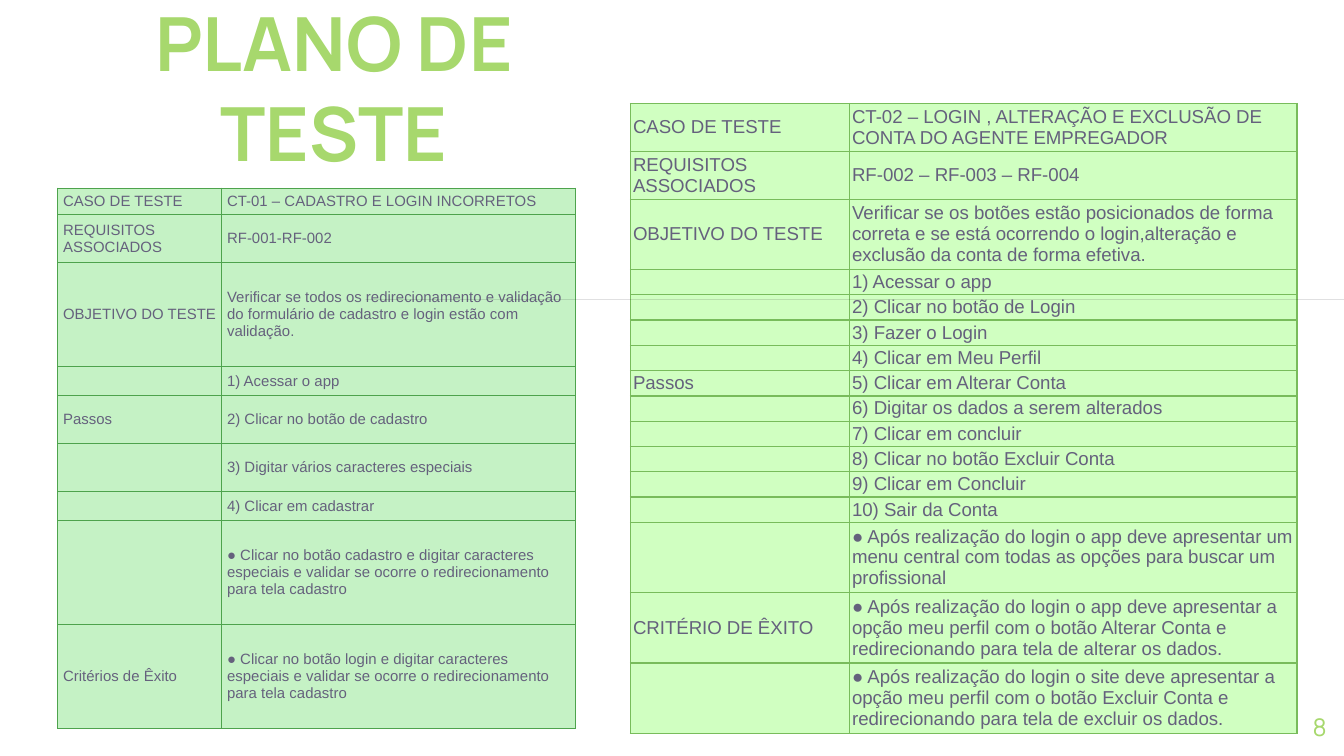
from pptx import Presentation
from pptx.dml.color import RGBColor
from pptx.enum.shapes import MSO_SHAPE
from pptx.enum.text import MSO_ANCHOR, PP_ALIGN
from pptx.oxml.ns import qn
from pptx.util import Inches, Pt
from lxml import etree

RECT = MSO_SHAPE.RECTANGLE
MIDDLE, BOTTOM = MSO_ANCHOR.MIDDLE, MSO_ANCHOR.BOTTOM
CENTER, RIGHT = PP_ALIGN.CENTER, PP_ALIGN.RIGHT
LIME = RGBColor(0xA7, 0xD8, 0x6D)
GRAY = RGBColor(0x65, 0x61, 0x7D)
INK = RGBColor(0x0A, 0x0C, 0x10)
MINT = RGBColor(0xC5, 0xF2, 0xC5)
PALE = RGBColor(0xD0, 0xFF, 0xC1)
GREEN = RGBColor(0x4E, 0xA3, 0x4D)
LEAF = RGBColor(0x78, 0xBC, 0x5B)

# Each row: label, text, share of the table height
SIGNUP = [
    ("CASO DE TESTE", "CT-01 – CADASTRO E LOGIN INCORRETOS", 0.2),
    ("REQUISITOS ASSOCIADOS", "RF-001-RF-002", 0.36),
    ("OBJETIVO DO TESTE", "Verificar se todos os redirecionamento e validação "
     "do formulário de cadastro e login estão com validação.", 0.78),
    ("", "1) Acessar o app", 0.22),
    ("Passos", "2) Clicar no botão de cadastro", 0.36),
    ("", "3) Digitar vários caracteres especiais", 0.36),
    ("", "4) Clicar em cadastrar", 0.22),
    ("", "● Clicar no botão cadastro e digitar caracteres especiais e validar "
     "se ocorre o redirecionamento para tela cadastro", 0.78),
    ("Critérios de Êxito", "● Clicar no botão login e digitar caracteres especiais "
     "e validar se ocorre o redirecionamento para tela cadastro", 0.78),
]
STEPS = ["Acessar o app", "Clicar no botão de Login", "Fazer o Login",
         "Clicar em Meu Perfil", "Clicar em Alterar Conta",
         "Digitar os dados a serem alterados", "Clicar em concluir",
         "Clicar no botão Excluir Conta", "Clicar em Concluir", "Sair da Conta"]
ACCOUNT = [
    ("CASO DE TESTE", "CT-02 – LOGIN , ALTERAÇÃO E EXCLUSÃO DE CONTA DO AGENTE "
     "EMPREGADOR", 0.34),
    ("REQUISITOS ASSOCIADOS", "RF-002 – RF-003 – RF-004", 0.34),
    ("OBJETIVO DO TESTE", "Verificar se os botões estão posicionados de forma correta "
     "e se está ocorrendo o login,alteração e exclusão da conta de forma efetiva.", 0.5),
    *[("Passos" if num == 5 else "", f"{num}) {step}", 0.18)
      for num, step in enumerate(STEPS, 1)],
    ("", "● Após realização do login o app deve apresentar um menu central com todas "
     "as opções para buscar um profissional", 0.5),
    ("CRITÉRIO DE ÊXITO", "● Após realização do login o app deve apresentar a opção "
     "meu perfil com o botão Alterar Conta e redirecionando para tela de alterar os "
     "dados.", 0.5),
    ("", "● Após realização do login o site deve apresentar a opção meu perfil com o "
     "botão Excluir Conta e redirecionando para tela de excluir os dados.", 0.5),
]
TABLES = [
    dict(rows=SIGNUP, left=0.43, top=1.4, high=4.02, cols=(1.22, 2.63), size=8,
         pad=(0.04, 0.02), fill=MINT, edge=GREEN),
    dict(rows=ACCOUNT, left=4.69, top=0.77, high=4.69, cols=(1.63, 3.33), size=10,
         pad=(0.02, 0.01), fill=PALE, edge=LEAF),
]
TEXTS = [
    dict(text="8", box=(9.27, 5.19, 0.6, 0.43), size=13, bold=False,
         align=RIGHT, anchor=MIDDLE),
    dict(text="PLANO DE TESTE", box=(0.28, 0.37, 4.41, 0.94), size=40, bold=True,
         align=CENTER, anchor=BOTTOM),
]


def style(run, size, name, color, bold=False):
    for key, value in dict(size=Pt(size), name=name, bold=bold).items():
        setattr(run.font, key, value)
    run.font.color.rgb = color


def add_edges(cell, color):
    """Draw the four borders of a cell."""
    props = cell._tc.get_or_add_tcPr()
    for spot, side in enumerate(("lnL", "lnR", "lnT", "lnB")):
        line = etree.Element(qn(f"a:{side}"), w=str(Pt(0.75)))
        paint = etree.SubElement(line, qn("a:solidFill"))
        etree.SubElement(paint, qn("a:srgbClr"), val=str(color))
        props.insert(spot, line)


def fill_cell(cell, text, spec):
    side, edge = map(Inches, spec["pad"])
    look = dict(margin_left=side, margin_right=side, margin_top=edge,
                margin_bottom=edge, vertical_anchor=MIDDLE)
    for key, value in look.items():
        setattr(cell, key, value)
    cell.fill.solid()
    cell.fill.fore_color.rgb = spec["fill"]
    add_edges(cell, spec["edge"])
    para = cell.text_frame.paragraphs[0]
    if text:
        run = para.add_run()
        run.text = text
        style(run, spec["size"], "Arial", GRAY)
    else:  # keeps an empty cell from growing its row
        etree.SubElement(para._p, qn("a:endParaRPr"), sz=str(spec["size"] * 100))


def add_grid(slide, spec):
    rows, cols, high = spec["rows"], spec["cols"], spec["high"]
    scale = high / sum(row[2] for row in rows)
    table = slide.shapes.add_table(
        len(rows), len(cols), Inches(spec["left"]), Inches(spec["top"]),
        Inches(sum(cols)), Inches(high)).table
    for col, width in zip(table.columns, cols):
        col.width = Inches(width)
    for num, (label, text, share) in enumerate(rows):
        table.rows[num].height = Inches(share * scale)
        fill_cell(table.cell(num, 0), label, spec)
        fill_cell(table.cell(num, 1), text, spec)


def add_text(slide, spec):
    frame = slide.shapes.add_textbox(*map(Inches, spec["box"])).text_frame
    look = dict(margin_left=0, margin_right=0, margin_top=0, margin_bottom=0,
                word_wrap=True, vertical_anchor=spec["anchor"])
    for key, value in look.items():
        setattr(frame, key, value)
    para = frame.paragraphs[0]
    para.alignment = spec["align"]
    run = para.add_run()
    run.text = spec["text"]
    style(run, spec["size"], "Manrope", LIME, spec["bold"])


def main():
    deck = Presentation()
    deck.slide_width = Inches(10)
    deck.slide_height = deck.slide_width * 9 // 16
    slide = deck.slides.add_slide(deck.slide_layouts[6])
    number, title = TEXTS
    add_text(slide, number)
    for spec in TABLES:
        add_grid(slide, spec)
    rule = slide.shapes.add_shape(RECT, Inches(2.72), Inches(2.23), Inches(10), 0)
    rule.shadow.inherit = False
    rule.fill.solid()
    rule.fill.fore_color.rgb = INK
    rule.line.fill.background()
    add_text(slide, title)
    deck.save("out.pptx")


if __name__ == "__main__":
    main()
